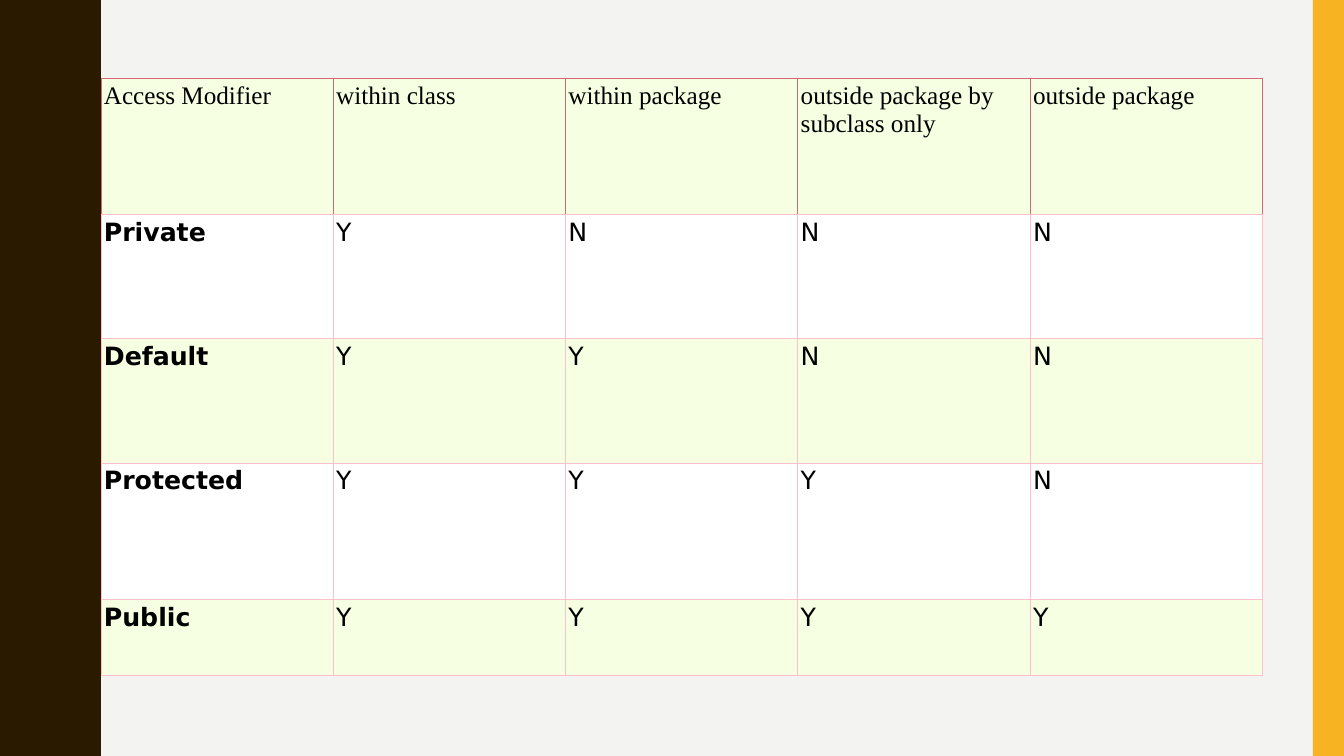
"""Build a slide with a table of access modifiers and their visibility."""
from dataclasses import dataclass

from lxml import etree
from pptx import Presentation
from pptx import util as u
from pptx.dml.color import RGBColor
from pptx.enum import shapes, text
from pptx.oxml import ns

COLORS = {
    "background": "F3F3F2", "wave": "2A1A00", "bar": "F8B323",
    "tint": "F6FFE1", "white": "FFFFFF", "ink": "000000",
    "border": "FFC0CB", "header_border": "D06877",
}
SLIDE_W, SLIDE_H = 13.33, 7.5
WAVE_PERIOD = 1.5
HALF_WAVE = [
    (0.78, 0), (0.78, 0.07), (0.79, 0.14), (0.8, 0.2), (0.81, 0.25),
    (0.83, 0.29), (0.85, 0.33), (0.87, 0.38), (0.89, 0.42), (0.91, 0.46),
    (0.93, 0.5), (0.95, 0.55), (0.96, 0.61), (0.97, 0.68), (0.97, 0.75),
]
HEADERS = ["Access Modifier", "within class", "within package",
           "outside package by subclass only", "outside package"]


@dataclass
class Modifier:
    """A table row: the modifier, its Y/N answers and the row height."""
    name: str
    access: str
    height: float


@dataclass
class CellStyle:
    """The look of a table cell."""
    fill: str
    font: str
    bold: bool
    align: text.PP_ALIGN
    side_border: str


HEADER_HEIGHT = 1.35
MODIFIERS = [
    Modifier("Private", "YNNN", 1.23),
    Modifier("Default", "YYNN", 1.24),
    Modifier("Protected", "YYYN", 1.35),
    Modifier("Public", "YYYY", 0.75),
]


def rgb(name: str) -> RGBColor:
    """Return the named colour."""
    return RGBColor.from_string(COLORS[name])


def paint(sp, color: str) -> None:
    """Give a shape a plain fill without line or shadow."""
    sp.fill.solid()
    sp.fill.fore_color.rgb = rgb(color)
    sp.line.fill.background()
    sp.shadow.inherit = False


def add_wave(s) -> None:
    """Draw the left band with its wavy right edge."""
    wave = HALF_WAVE + [(x, WAVE_PERIOD - y) for x, y in HALF_WAVE[-2::-1]]
    edge = [(x, y + i * WAVE_PERIOD)
            for i in range(round(SLIDE_H / WAVE_PERIOD)) for x, y in wave]
    builder = s.shapes.build_freeform(0, 0, scale=u.Inches(1))
    builder.add_line_segments(edge + [(0, SLIDE_H)], close=True)
    paint(builder.convert_to_shape(), "wave")


def add_bar(s) -> None:
    """Draw the right band."""
    sp = s.shapes.add_shape(shapes.MSO_SHAPE.RECTANGLE, u.Inches(13.02), 0,
                            u.Inches(0.31), u.Inches(SLIDE_H))
    paint(sp, "bar")


def add_border(cell, side: str, color: str) -> None:
    """Add a thin line to one side of a cell."""
    ln = etree.SubElement(cell._tc.get_or_add_tcPr(), ns.qn(f"a:ln{side}"),
                          w=str(u.Pt(0.5)))
    fill = etree.SubElement(ln, ns.qn("a:solidFill"))
    etree.SubElement(fill, ns.qn("a:srgbClr"), val=COLORS[color])


def fill_cell(cell, words: str, style: CellStyle) -> None:
    """Write and format one cell."""
    cell.margin_left = cell.margin_right = u.Inches(0.03)
    cell.margin_top = cell.margin_bottom = u.Inches(0.03)
    for side in "LRT":
        add_border(cell, side, style.side_border)
    add_border(cell, "B", "border")
    cell.fill.solid()
    cell.fill.fore_color.rgb = rgb(style.fill)
    p = cell.text_frame.paragraphs[0]
    p.alignment = style.align
    r = p.add_run()
    r.text = words
    r.font.name, r.font.size, r.font.bold = style.font, u.Pt(18), style.bold
    r.font.color.rgb = rgb("ink")


def add_access_table(s) -> None:
    """Add the table of modifiers."""
    heights = [HEADER_HEIGHT] + [m.height for m in MODIFIERS]
    table = s.shapes.add_table(
        len(heights), len(HEADERS), u.Inches(1), u.Inches(0.78),
        u.Inches(11.52), u.Inches(sum(heights))).table
    table.first_row = table.horz_banding = False
    for row, height in zip(table.rows, heights):
        row.height = u.Inches(height)
    header = CellStyle("tint", "Times New Roman", False,
                       text.PP_ALIGN.LEFT, "header_border")
    for col, words in enumerate(HEADERS):
        fill_cell(table.cell(0, col), words, header)
    for row, modifier in enumerate(MODIFIERS, 1):
        fill = "white" if row % 2 else "tint"
        for col, words in enumerate([modifier.name, *modifier.access]):
            style = CellStyle(fill, "DejaVu Sans", col == 0,
                              text.PP_ALIGN.JUSTIFY, "border")
            fill_cell(table.cell(row, col), words, style)


def main() -> None:
    """Build and save the presentation."""
    prs = Presentation()
    prs.slide_width, prs.slide_height = u.Inches(SLIDE_W), u.Inches(SLIDE_H)
    s = prs.slides.add_slide(prs.slide_layouts[6])
    s.background.fill.solid()
    s.background.fill.fore_color.rgb = rgb("background")
    add_wave(s)
    add_bar(s)
    add_access_table(s)
    prs.save("out.pptx")


if __name__ == "__main__":
    main()
